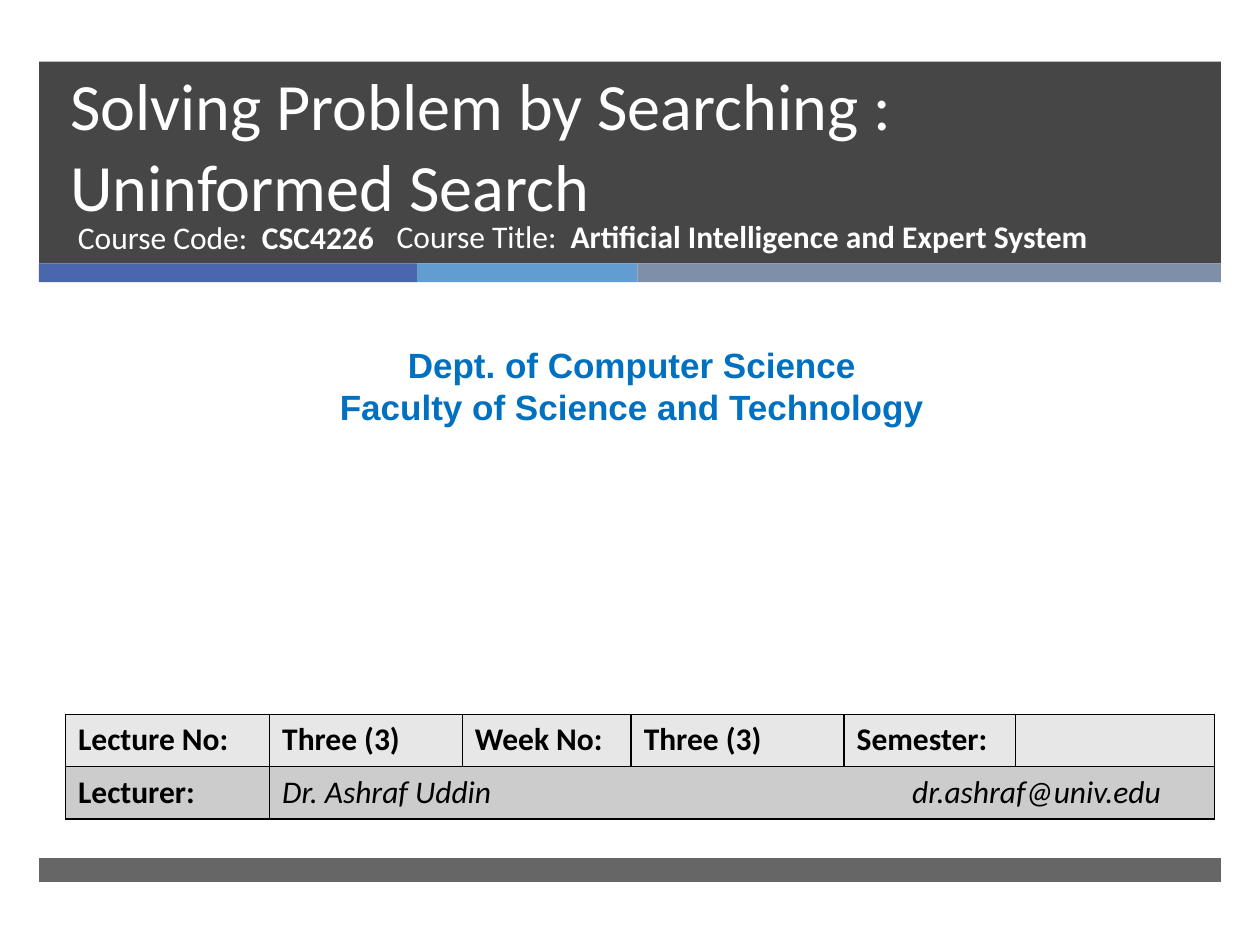
from dataclasses import dataclass

from lxml.etree import SubElement
from pptx import Presentation
from pptx.dml.color import RGBColor as Rgb
from pptx.enum.shapes import MSO_SHAPE as Preset
from pptx.enum.text import MSO_ANCHOR as Anchor, MSO_AUTO_SIZE as AutoSize, PP_ALIGN as Align
from pptx.oxml.ns import qn
from pptx.util import Inches, Pt

COLUMNS, ROWS = 100, 75


@dataclass(frozen=True)
class Theme:
    dark: str = "262626"
    accents: tuple = ("4A66AC", "629DD1", "7F8FA9")
    department: str = "0070C0"
    light: str = "FFFFFF"
    ink: str = "000000"
    row_fills: tuple = ("E7E7E7", "CCCCCC")
    body_font: str = "Calibri"
    department_font: str = "Arial"
    title_size: float = 37.8
    title_leading: float = 46
    department_size: float = 20
    body_size: float = 18
    border_width: float = 1


class CoverSlide:
    def __init__(self, deck, theme):
        self.theme = theme
        self.column = deck.slide_width / COLUMNS
        self.row = deck.slide_height / ROWS
        self.slide = deck.slides.add_slide(deck.slide_layouts[5])
        self.shapes = self.slide.shapes

    def area(self, left, top, width, height):
        return (round(left * self.column), round(top * self.row),
                round(width * self.column), round(height * self.row))

    def style(self, paragraph, size, color, face=None, bold=False, italic=False):
        font = paragraph.font
        font.name = face or self.theme.body_font
        font.size = Pt(size)
        font.bold, font.italic = bold, italic
        font.color.rgb = Rgb.from_string(color)

    def tab_stop(self, paragraph, columns):
        properties = paragraph._p.get_or_add_pPr()
        stops = properties.makeelement(qn("a:tabLst"))
        SubElement(stops, qn("a:tab"), pos=str(round(columns * self.column)), algn="l")
        properties.insert(0, stops)

    def bar(self, area, color, opacity=100):
        bar = self.shapes.add_shape(Preset.RECTANGLE, *self.area(*area))
        bar.shadow.inherit = False
        bar.fill.solid()
        bar.fill.fore_color.rgb = Rgb.from_string(color)
        bar.line.fill.background()
        if opacity < 100:
            shade = bar._element.spPr.find(qn("a:solidFill"))[0]
            SubElement(shade, qn("a:alpha"), val=str(opacity * 1000))

    def title(self, area, text):
        title = self.shapes.title
        title.left, title.top, title.width, title.height = self.area(*area)
        self.shapes._spTree.append(title._element)
        frame = title.text_frame
        frame.text = text
        frame.auto_size = AutoSize.NONE
        frame.vertical_anchor = Anchor.BOTTOM
        heading = frame.paragraphs[0]
        heading.alignment = Align.LEFT
        heading.line_spacing = Pt(self.theme.title_leading)
        self.style(heading, self.theme.title_size, self.theme.light)

    def text_frame(self, area):
        frame = self.shapes.add_textbox(*self.area(*area)).text_frame
        frame.word_wrap = True
        return frame

    def course_fact(self, area, label, value, value_column):
        fact = self.text_frame(area).paragraphs[0]
        self.style(fact, self.theme.body_size, self.theme.light)
        self.tab_stop(fact, value_column)
        fact.add_run().text = f"{label}\t"
        value_run = fact.add_run()
        value_run.text = value
        value_run.font.bold = True

    def department(self, area, lines):
        frame = self.text_frame(area)
        frame.text = "\n".join(lines)
        for paragraph in frame.paragraphs:
            paragraph.alignment = Align.CENTER
            self.style(paragraph, self.theme.department_size, self.theme.department,
                       self.theme.department_font, bold=True)

    def border(self, cell):
        properties = cell._tc.get_or_add_tcPr()
        for position, side in enumerate(("lnL", "lnR", "lnT", "lnB")):
            line = properties.makeelement(
                qn(f"a:{side}"), {"w": str(Pt(self.theme.border_width))})
            SubElement(SubElement(line, qn("a:solidFill")), qn("a:srgbClr"),
                       val=self.theme.ink)
            properties.insert(position, line)

    def lecture_table(self, left, top, widths, row_height, facts, lecturer, email_column):
        contents = (facts, lecturer)
        area = self.area(left, top, sum(widths), row_height * len(contents))
        table = self.shapes.add_table(len(contents), len(widths), *area).table
        table.first_row = table.horz_banding = False
        for column, width in zip(table.columns, widths):
            column.width = round(width * self.column)
        for row, texts, fill in zip(table.rows, contents, self.theme.row_fills):
            for index, cell in enumerate(row.cells):
                cell.fill.solid()
                cell.fill.fore_color.rgb = Rgb.from_string(fill)
                self.border(cell)
                if index < len(texts):
                    cell.text = texts[index]
                    self.style(cell.text_frame.paragraphs[0], self.theme.body_size,
                               self.theme.ink, bold=True)
        details = table.cell(1, 1)
        details.merge(table.cell(1, len(widths) - 1))
        contact = details.text_frame.paragraphs[0]
        self.style(contact, self.theme.body_size, self.theme.ink, italic=True)
        self.tab_stop(contact, email_column)


def main():
    deck = Presentation()
    deck.slide_width, deck.slide_height = Inches(10), Inches(7.5)
    theme = Theme()
    cover = CoverSlide(deck, theme)
    margin, content_width = 3.1, 93.8

    cover.bar((margin, 4.9, content_width, 16), theme.dark, opacity=85)
    stripe_left = margin
    for width, accent in zip((30, 17.5, 46.3), theme.accents):
        cover.bar((stripe_left, 20.9, width, 1.5), accent)
        stripe_left += width
    cover.bar((margin, 68.1, content_width, 1.9), theme.dark, opacity=70)

    cover.title((4.6, 6.4, 85.4, 11.9),
                "Solving Problem by Searching :\vUninformed Search")
    cover.course_fact((5.2, 16.8, 30.5, 5.3), "Course Code:", "CSC4226", 14.6)
    cover.department((0.8, 26.8, 98.7, 7.7),
                     ("Dept. of Computer Science", "Faculty of Science and Technology"))
    cover.lecture_table(
        5.2, 56.7, (16.2, 15.3, 13.4, 16.9, 13.6, 15.8), 4.15,
        ("Lecture No:", "Three (3)", "Week No:", "Three (3)", "Semester:"),
        ("Lecturer:", "Dr. Ashraf Uddin\tdr.ashraf@univ.edu"), 50)
    cover.course_fact((30.5, 16.7, 57.2, 5.3), "Course Title:",
                      "Artificial Intelligence and Expert System", 13.8)
    deck.save("out.pptx")


if __name__ == "__main__":
    main()
